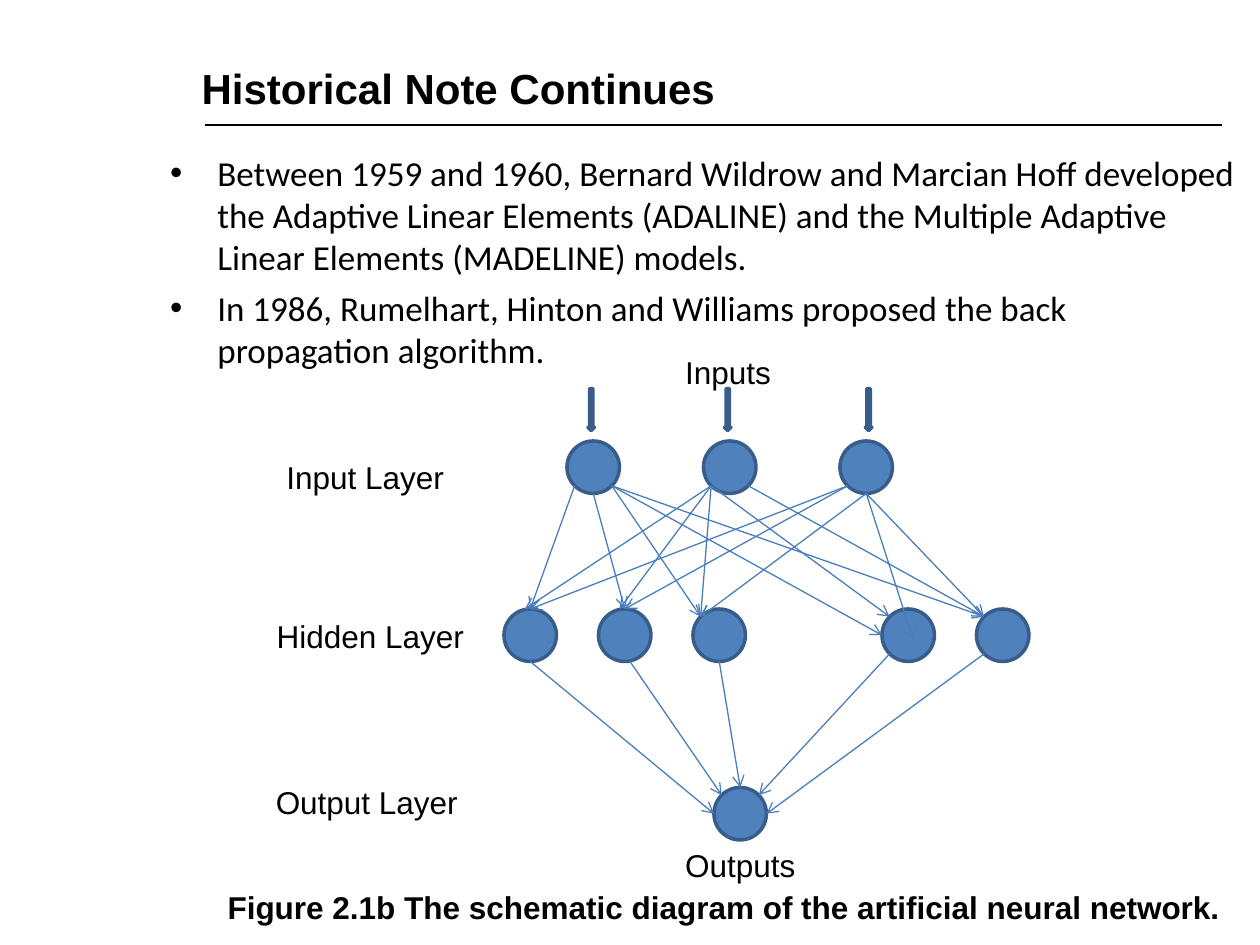
from dataclasses import dataclass
from math import cos, radians, sin

from lxml.etree import SubElement
from pptx import Presentation
from pptx.dml.color import RGBColor
from pptx.enum.shapes import MSO_CONNECTOR as Link, MSO_SHAPE as Form
from pptx.enum.text import MSO_ANCHOR as Anchor, MSO_AUTO_SIZE as Fit, PP_ALIGN as Align
from pptx.oxml.ns import qn
from pptx.util import Pt

BLACK = RGBColor(0x00, 0x00, 0x00)
BLUE = RGBColor(0x4F, 0x81, 0xBD)
NAVY = RGBColor(0x38, 0x5D, 0x8A)
STEEL = RGBColor(0x4A, 0x7E, 0xBB)

SIZE = 30  # width of a node
SITES = {"E": 0, "SE": 45, "S": 90, "SW": 135, "W": 180, "NW": 225, "N": 270, "NE": 315}


@dataclass
class Node:
    left: float
    top: float

    def site(self, name: str) -> tuple[float, float]:
        """Point on the rim, or the centre for "C"."""
        half = SIZE / 2
        reach = half if name in SITES else 0
        turn = radians(SITES.get(name, 0))
        return self.left + half + reach * cos(turn), self.top + half + reach * sin(turn)


@dataclass
class Edge:
    tail: Node
    out: str
    head: Node
    into: str
    lead: float = 0  # sideways shift of the start
    dx: float = 0  # shift of the end
    dy: float = 0


@dataclass
class Label:
    text: str
    left: float
    top: float
    width: float
    bold: bool = False


def write(frame, *lines: str, size: float = 18, font: str = "Arial", bold: bool = False,
          before: float = 0, wrap: bool = True) -> None:
    frame.auto_size = Fit.NONE
    frame.word_wrap = wrap
    for i, line in enumerate(lines):
        para = frame.paragraphs[0] if i == 0 else frame.add_paragraph()
        para.alignment = Align.LEFT
        para.space_before = Pt(before if i else 0)
        run = para.add_run()
        run.text = line
        run.font.size, run.font.name, run.font.bold = Pt(size), font, bold
        run.font.color.rgb = BLACK


def place(shape, left: float, top: float, width: float, height: float) -> None:
    shape.left, shape.top = Pt(left), Pt(top)
    shape.width, shape.height = Pt(width), Pt(height)


def draw_shape(shapes, form: Form, left: float, top: float, width: float, height: float) -> None:
    shape = shapes.add_shape(form, Pt(left), Pt(top), Pt(width), Pt(height))
    shape.shadow.inherit = False
    shape.fill.solid()
    shape.fill.fore_color.rgb = BLUE
    shape.line.color.rgb = NAVY
    shape.line.width = Pt(2)


def draw_line(shapes, start: tuple[float, float], end: tuple[float, float],
              color: RGBColor, arrow: bool = False) -> None:
    line = shapes.add_connector(Link.STRAIGHT, *(Pt(v) for v in (*start, *end)))
    line.line.color.rgb = color
    line.line.width = Pt(0.75)
    props = line._element.spPr
    if arrow:
        SubElement(props.find(qn("a:ln")), qn("a:tailEnd"), type="arrow")
    SubElement(props, qn("a:effectLst"))


def draw_edge(shapes, edge: Edge) -> None:
    x1, y1 = edge.tail.site(edge.out)
    x2, y2 = edge.head.site(edge.into)
    draw_line(shapes, (x1 + edge.lead, y1), (x2 + edge.dx, y2 + edge.dy), STEEL, arrow=True)


def draw_label(shapes, label: Label) -> None:
    box = shapes.add_textbox(Pt(label.left), Pt(label.top), Pt(label.width), Pt(29))
    write(box.text_frame, label.text, bold=label.bold, wrap=False)


# Network: the hidden row has a gap before its last two nodes
INPUT = [Node(324 + 78 * i, 252) for i in range(3)]
HIDDEN = [Node(288 + 54 * i, 348) for i in (0, 1, 2, 4, 5)]
OUTPUT = Node(408, 450)
A, B, C = INPUT
H1, H2, H3, H4, H5 = HIDDEN

EDGES = [
    Edge(A, "SW", H1, "N"),
    Edge(A, "S", H2, "N"),
    Edge(A, "SE", H3, "NW"),
    Edge(A, "SE", H4, "W"),
    Edge(A, "SE", H5, "NW"),
    Edge(B, "SW", H1, "N", dx=-3),
    Edge(B, "SW", H2, "N", dx=-3),
    Edge(B, "SW", H3, "NW"),
    Edge(B, "SW", H4, "NW"),
    Edge(B, "SE", H5, "NW"),
    Edge(C, "SW", H1, "N"),
    Edge(C, "SW", H2, "N"),
    Edge(C, "S", H3, "NW"),
    Edge(C, "S", H4, "C", dx=3, dy=3),
    Edge(C, "S", H5, "NW"),
    Edge(H1, "S", OUTPUT, "W"),
    Edge(H2, "S", OUTPUT, "NW", lead=3),
    Edge(H3, "S", OUTPUT, "N"),
    Edge(H4, "SW", OUTPUT, "NE"),
    Edge(H5, "SW", OUTPUT, "E"),
]

LABELS = [
    Label("Outputs", 384.5, 480, 77),
    Label("Inputs", 384.5, 198, 63.5),
    Label("Input Layer", 156.5, 258, 104.5),
    Label("Output Layer", 150.5, 444, 118),
    Label("Hidden Layer", 151, 349, 121),
    Label("Figure 2.1b The schematic diagram of the artificial neural network.",
          123, 504, 581, bold=True),
]


def main() -> None:
    deck = Presentation()
    deck.slide_width, deck.slide_height = Pt(720), Pt(540)
    slide = deck.slides.add_slide(deck.slide_layouts[1])
    shapes = slide.shapes

    # Title and list
    title, body = shapes.title, slide.placeholders[1]
    place(title, 108, 5, 648, 90)
    title.text_frame.vertical_anchor = Anchor.MIDDLE
    write(title.text_frame, "Historical Note Continues", size=24, bold=True)
    place(body, 90, 54, 630, 356)
    body.text_frame.margin_top = Pt(32.5)
    write(body.text_frame,
          "Between 1959 and 1960, Bernard Wildrow and Marcian Hoff developed the Adaptive "
          "Linear Elements (ADALINE) and the Multiple Adaptive Linear Elements (MADELINE) models.",
          "In 1986, Rumelhart, Hinton and Williams proposed the back propagation algorithm.",
          size=20, font="Calibri", before=5)
    draw_line(shapes, (117, 71.5), (698.5, 71.5), BLACK)

    # Nodes, edges and input arrows
    for node in (*INPUT, *HIDDEN, OUTPUT):
        draw_shape(shapes, Form.OVAL, node.left, node.top, SIZE, SIZE)
    for edge in EDGES:
        draw_edge(shapes, edge)
    for left in (336, 414, 494.5):
        draw_shape(shapes, Form.DOWN_ARROW, left, 222, 3.75, 24)

    # Labels and caption
    for label in LABELS:
        draw_label(shapes, label)

    deck.save("out.pptx")


if __name__ == "__main__":
    main()
